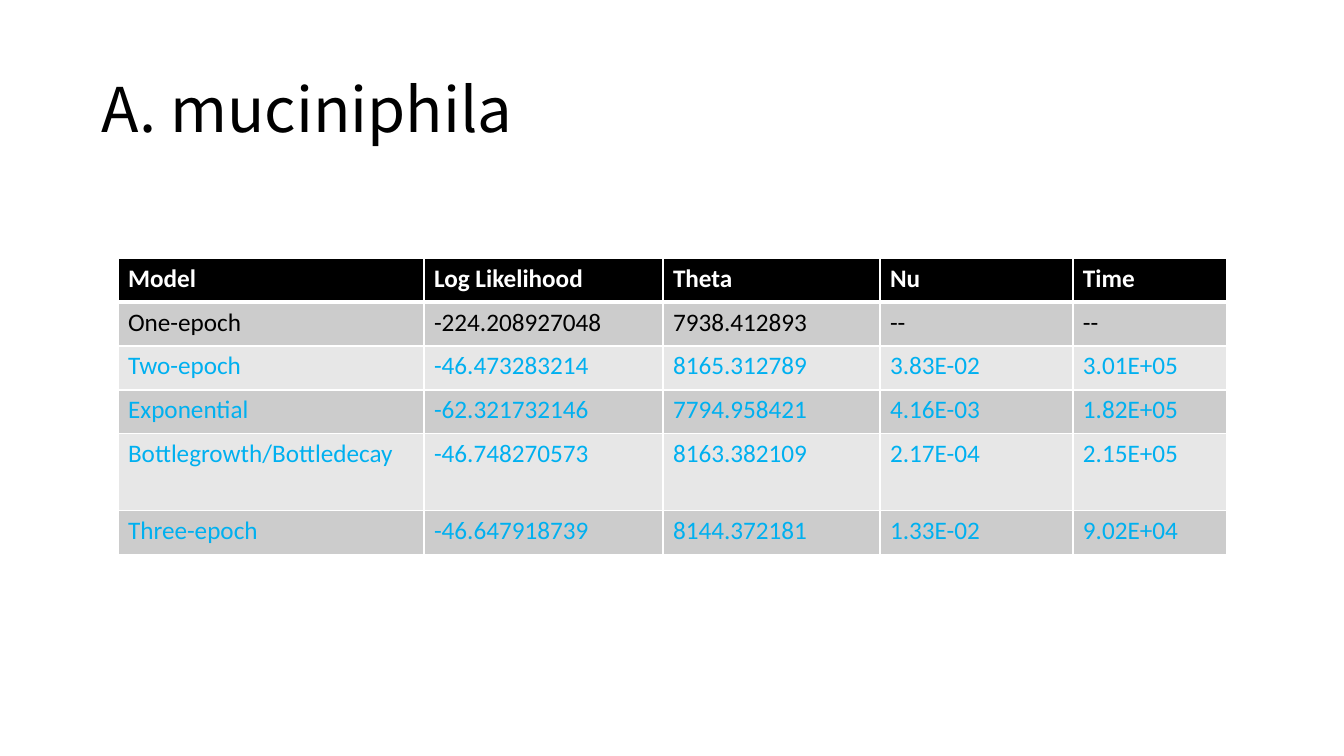
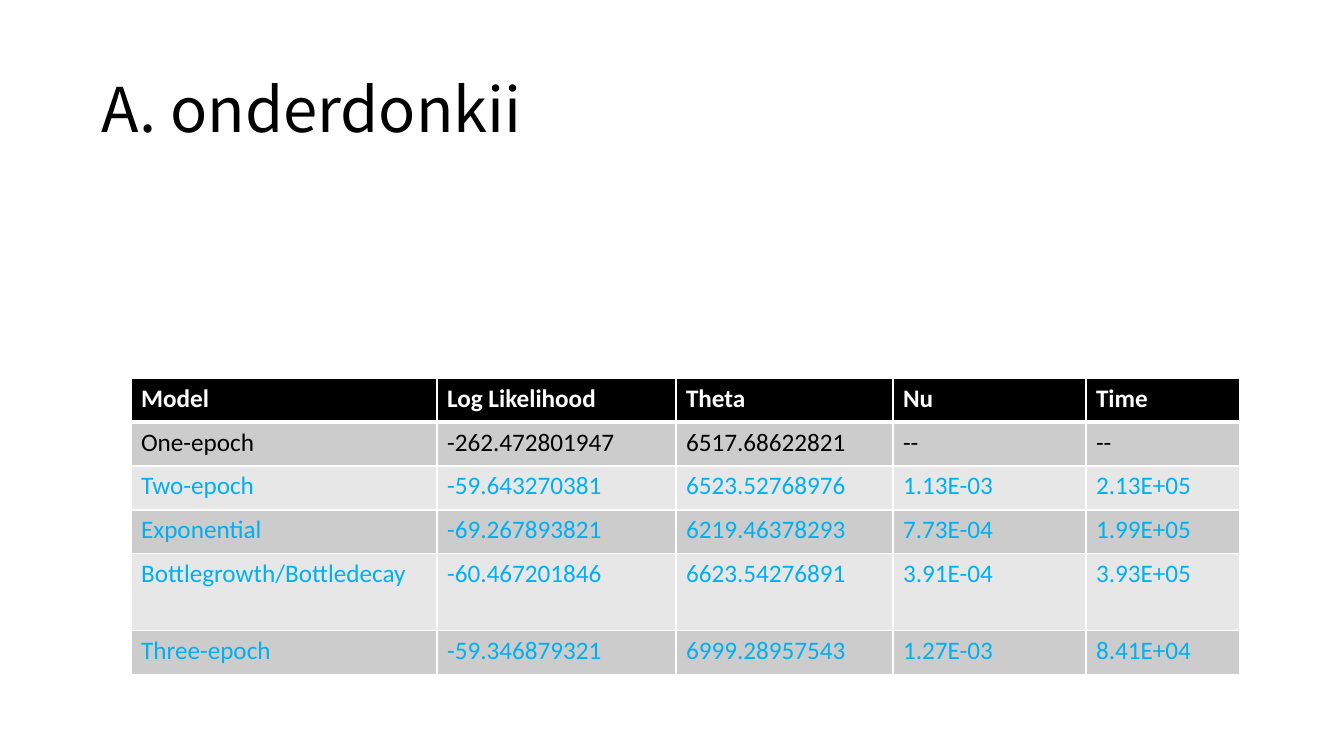
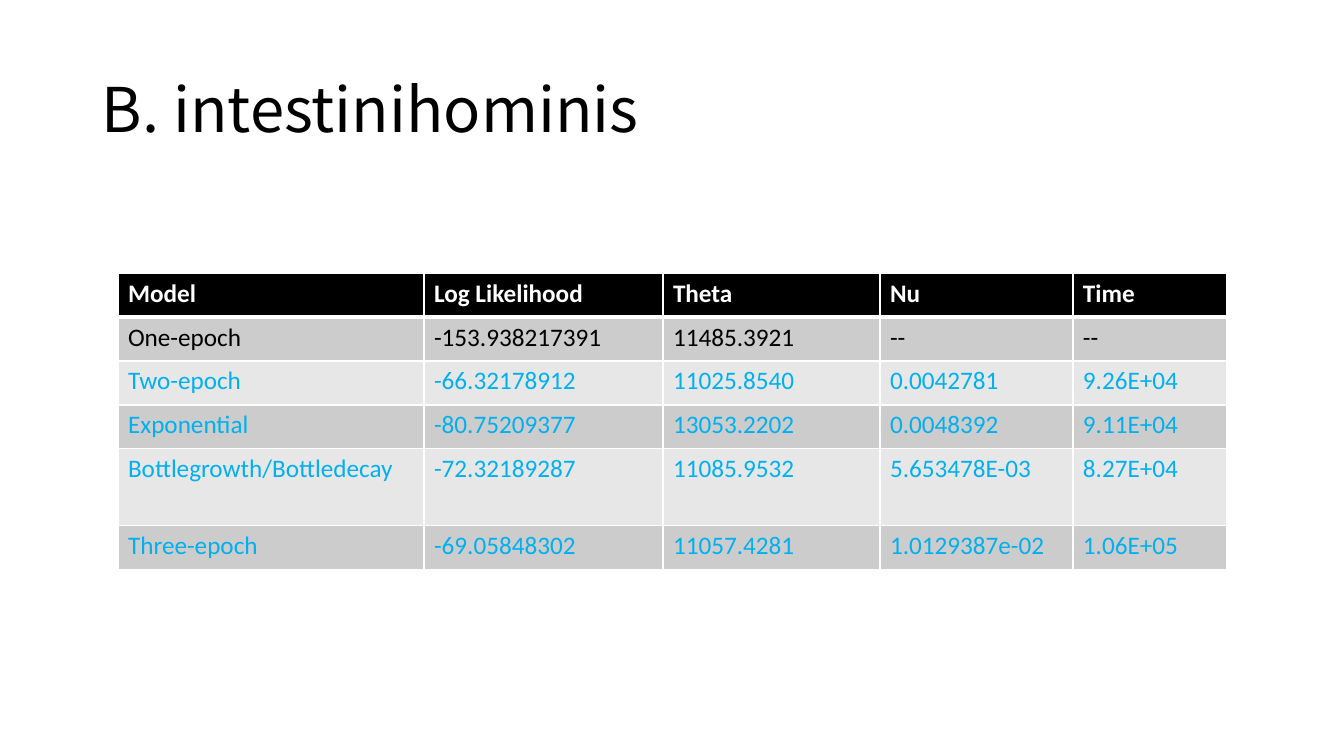
from lxml import etree
from pptx import Presentation
from pptx import util as u
from pptx.dml.color import RGBColor
from pptx.enum import text
from pptx.oxml import ns

PX = 914400 / 100.8
BLACK = RGBColor(0x00, 0x00, 0x00)
WHITE = RGBColor(0xFF, 0xFF, 0xFF)
CYAN = RGBColor(0x00, 0xB0, 0xF0)
BANDS = (RGBColor(0xCC, 0xCC, 0xCC), RGBColor(0xE7, 0xE7, 0xE7))
TITLE_FONT = "Noto Sans CJK JP"
TABLE_FONT = "Calibri"

HEADER = ("Model", "Log Likelihood", "Theta", "Nu", "Time")
MODELS = ("One-epoch", "Two-epoch", "Exponential",
          "Bottlegrowth/Bottledecay", "Three-epoch")
COLUMN_WIDTHS = (306, 239, 217, 193, 154)
ROW_HEIGHTS = (44, 44, 44, 44, 77, 44)

SPECIES = [
    {"title": "A. muciniphila", "corner": (118, 258), "fits": [
        ("-224.208927048", "7938.412893", "--", "--"),
        ("-46.473283214", "8165.312789", "3.83E-02", "3.01E+05"),
        ("-62.321732146", "7794.958421", "4.16E-03", "1.82E+05"),
        ("-46.748270573", "8163.382109", "2.17E-04", "2.15E+05"),
        ("-46.647918739", "8144.372181", "1.33E-02", "9.02E+04"),
    ]},
    {"title": "A. onderdonkii", "corner": (131, 378), "fits": [
        ("-262.472801947", "6517.68622821", "--", "--"),
        ("-59.643270381", "6523.52768976", "1.13E-03", "2.13E+05"),
        ("-69.267893821", "6219.46378293", "7.73E-04", "1.99E+05"),
        ("-60.467201846", "6623.54276891", "3.91E-04", "3.93E+05"),
        ("-59.346879321", "6999.28957543", "1.27E-03", "8.41E+04"),
    ]},
    {"title": "B. intestinihominis", "corner": (118, 273), "fits": [
        ("-153.938217391", "11485.3921", "--", "--"),
        ("-66.32178912", "11025.8540", "0.0042781", "9.26E+04"),
        ("-80.75209377", "13053.2202", "0.0048392", "9.11E+04"),
        ("-72.32189287", "11085.9532", "5.653478E-03", "8.27E+04"),
        ("-69.05848302", "11057.4281", "1.0129387e-02", "1.06E+05"),
    ]},
]


def px(length):
    return u.Emu(round(length * PX))


def add_run(paragraph, words, font, size, color, bold=False):
    run = paragraph.add_run()
    run.text = words
    run.font.name = font
    run.font.size = u.Pt(size)
    run.font.bold = bold
    run.font.color.rgb = color


def add_title(slide, words):
    title = slide.shapes.add_textbox(px(92), px(40), px(1160), px(146))
    frame = title.text_frame
    frame.word_wrap = True
    frame.vertical_anchor = text.MSO_ANCHOR.MIDDLE
    frame.paragraphs[0].line_spacing = 0.9
    add_run(frame.paragraphs[0], words, TITLE_FONT, 44, BLACK)


def set_borders(cell, top, bottom):
    properties = cell._tc.get_or_add_tcPr()
    sides = (("lnL", 1), ("lnR", 1), ("lnT", top), ("lnB", bottom))
    for position, (side, points) in enumerate(sides):
        line = etree.Element(ns.qn("a:" + side), w=str(u.Pt(points)))
        fill = etree.SubElement(line, ns.qn("a:solidFill"))
        etree.SubElement(fill, ns.qn("a:srgbClr"), val=str(WHITE))
        properties.insert(position, line)


def add_model_table(slide, corner, fits):
    rows = [HEADER] + [(model, *fit) for model, fit in zip(MODELS, fits)]
    left, top = corner
    table = slide.shapes.add_table(
        len(rows), len(HEADER), px(left), px(top),
        px(sum(COLUMN_WIDTHS)), px(sum(ROW_HEIGHTS))).table
    for column, width in zip(table.columns, COLUMN_WIDTHS):
        column.width = px(width)
    for row, height in zip(table.rows, ROW_HEIGHTS):
        row.height = px(height)
    for r, values in enumerate(rows):
        is_header = r == 0
        background = BLACK if is_header else BANDS[(r - 1) % 2]
        color = WHITE if is_header else BLACK if r == 1 else CYAN
        for c, value in enumerate(values):
            cell = table.cell(r, c)
            cell.fill.solid()
            cell.fill.fore_color.rgb = background
            set_borders(cell, 3 if r == 1 else 1, 3 if is_header else 1)
            add_run(cell.text_frame.paragraphs[0], value,
                    TABLE_FONT, 18, color, is_header)


def main():
    deck = Presentation()
    deck.slide_width, deck.slide_height = px(1344), px(756)
    for species in SPECIES:
        slide = deck.slides.add_slide(deck.slide_layouts[6])
        add_title(slide, species["title"])
        add_model_table(slide, species["corner"], species["fits"])
    deck.save("out.pptx")


if __name__ == "__main__":
    main()
